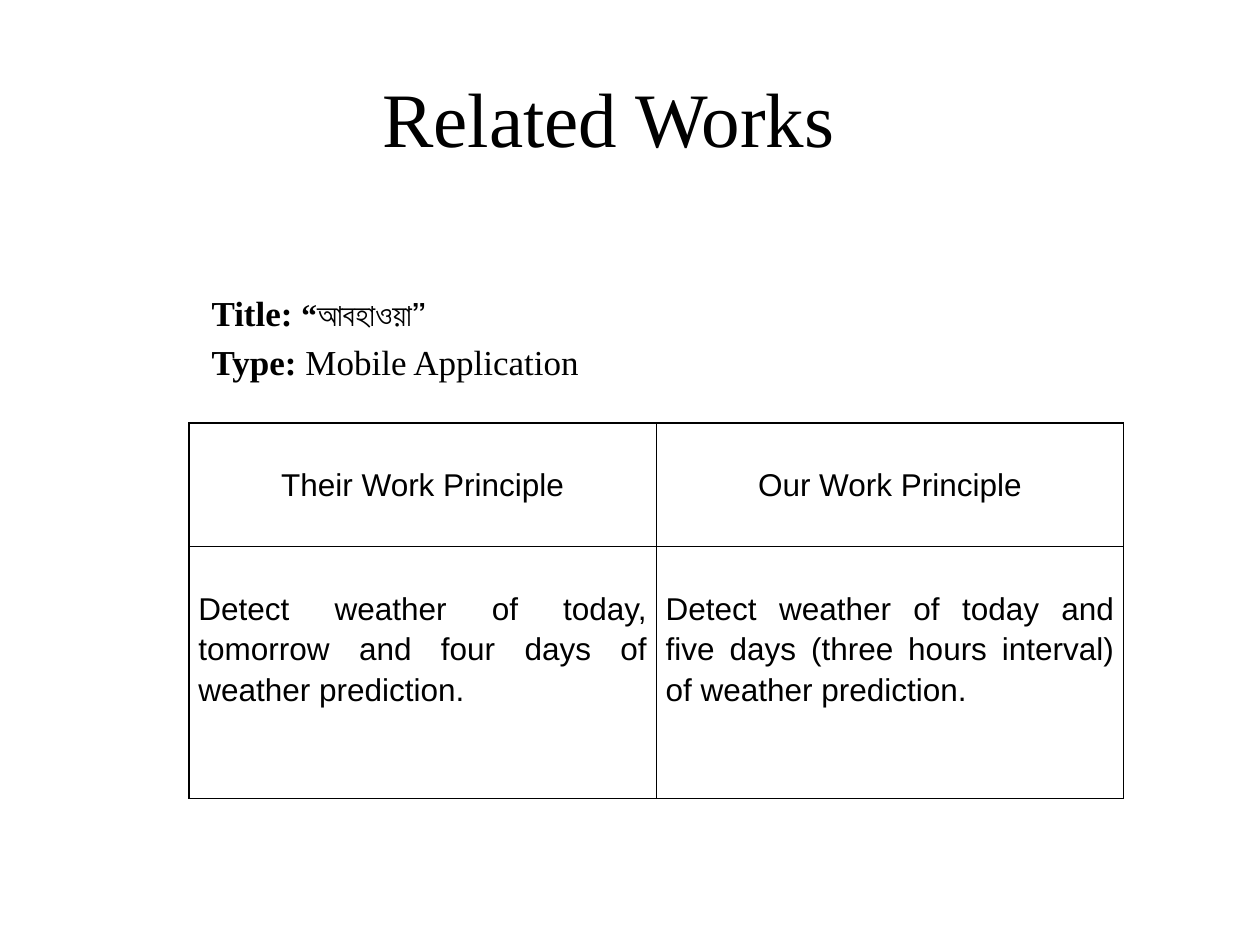
import pptx
import pptx.util
import pptx.dml.color
import pptx.enum.text
import lxml.etree
from pptx.oxml.ns import qn

Cm, Pt = pptx.util.Cm, pptx.util.Pt
ALIGN = pptx.enum.text.PP_ALIGN

# Content
COLORS = {"ink": "000000"}
SERIF, SANS, BENGALI = "Times New Roman", "Arial", "Calibri"
HEADING = "Related Works"
# Each run: text, font, size, bold
DETAILS = [
    [("Title: ", SERIF, 20, True), ("“", SERIF, 18, True),
     ("আবহাওয়া", BENGALI, 18, True), ("”", SERIF, 18, True)],
    [("Type: ", SERIF, 20, True), ("Mobile Application", SERIF, 20, False)],
]
COMPARISON = [
    ("Their Work Principle", "Our Work Principle"),
    ("Detect weather of today, tomorrow and four days of weather prediction.",
     "Detect weather of today and five days (three hours interval) of weather prediction."),
]
ROW_HEIGHTS = [Cm(2.49), Cm(5.08)]
ROW_ALIGNS = [ALIGN.CENTER, ALIGN.JUSTIFY]
COLUMN_WIDTH = Cm(9.42)


def format_run(run, font, size, bold=False):
    run.font.name = font
    run.font.size = Pt(size)
    run.font.bold = bold
    run.font.color.rgb = pptx.dml.color.RGBColor.from_string(COLORS["ink"])


def place(part, left, top, width, height):
    part.left, part.top, part.width, part.height = left, top, width, height


def add_borders(cell):
    properties = cell._tc.get_or_add_tcPr()
    for position, side in enumerate(("a:lnL", "a:lnR", "a:lnT", "a:lnB")):
        line = lxml.etree.Element(qn(side), w=str(Pt(1)))
        fill = lxml.etree.SubElement(line, qn("a:solidFill"))
        lxml.etree.SubElement(fill, qn("a:srgbClr"), val=COLORS["ink"])
        properties.insert(position, line)


def main():
    deck = pptx.Presentation()
    deck.slide_width, deck.slide_height = Cm(25.4), Cm(19.05)
    slide = deck.slides.add_slide(deck.slide_layouts[1])

    # Heading
    heading = slide.shapes.title
    place(heading, Cm(0.84), Cm(1.47), Cm(22.86), Cm(1.78))
    heading.text_frame.text = HEADING
    format_run(heading.text_frame.paragraphs[0].runs[0], SERIF, 44)

    # Details of the related work
    details = slide.placeholders[1]
    place(details, Cm(4.01), Cm(4.65), Cm(17.58), Cm(11.86))
    frame = details.text_frame
    frame.margin_top = Cm(1.22)
    for index, pieces in enumerate(DETAILS):
        paragraph = frame.add_paragraph() if index else frame.paragraphs[0]
        paragraph.space_before = Pt(4 if index else 0)
        properties = paragraph._p.get_or_add_pPr()
        properties.set("marL", "0")
        properties.set("indent", "0")
        lxml.etree.SubElement(properties, qn("a:buNone"))
        for text, font, size, bold in pieces:
            run = paragraph.add_run()
            run.text = text
            format_run(run, font, size, bold)

    # Comparison table
    columns = len(COMPARISON[0])
    table = slide.shapes.add_table(
        len(COMPARISON), columns, Cm(3.81), Cm(8.53),
        COLUMN_WIDTH * columns, sum(ROW_HEIGHTS)).table
    table.first_row = table.horz_banding = False
    for column in table.columns:
        column.width = COLUMN_WIDTH
    for r, texts in enumerate(COMPARISON):
        table.rows[r].height = ROW_HEIGHTS[r]
        for c, text in enumerate(texts):
            cell = table.cell(r, c)
            cell.fill.background()
            add_borders(cell)
            cell.margin_left = cell.margin_right = Cm(0.19)
            cell.margin_top, cell.margin_bottom = Cm(0.8), 0
            paragraph = cell.text_frame.paragraphs[0]
            paragraph.text = text
            paragraph.alignment = ROW_ALIGNS[r]
            paragraph.line_spacing = 1.15
            format_run(paragraph.runs[0], SANS, 18)

    deck.save("out.pptx")


if __name__ == "__main__":
    main()
